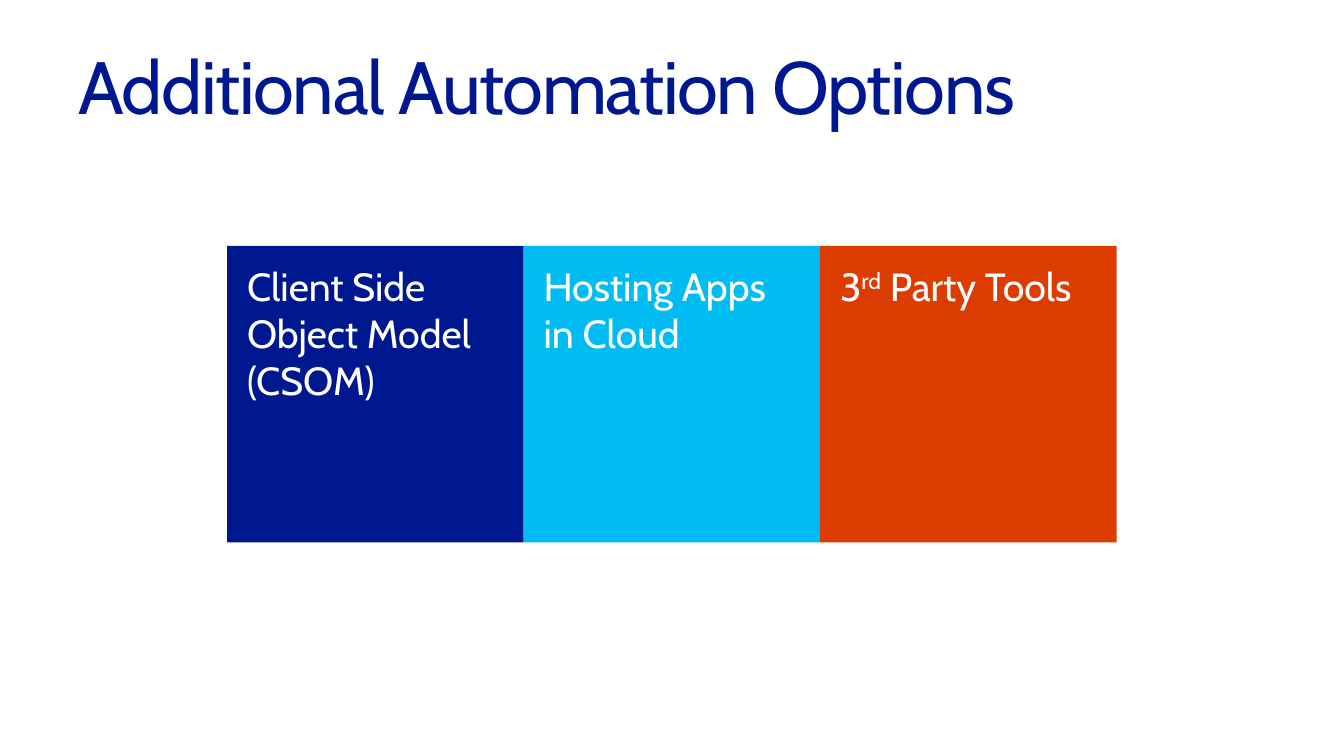
from pptx import Presentation
from pptx.dml.color import RGBColor
from pptx.enum.shapes import MSO_SHAPE
from pptx.enum.text import MSO_ANCHOR, MSO_AUTO_SIZE, PP_ALIGN
from pptx.util import Cm, Pt

COLORS = {"navy": "00188F", "cyan": "00BCF2", "orange": "DC3C00", "white": "FFFFFF"}
TILE_SIZE = 7.62
TILES_LEFT = 5.84
TILES_TOP = 6.32
TILES = [
    ("navy", [("Client Side Object Model (CSOM)", False)]),
    ("cyan", [("Hosting Apps in Cloud", False)]),
    ("orange", [("3", False), ("rd", True), (" Party Tools", False)]),
]


class OptionsSlide:
    """Hold the style and the current slide, and add its elements."""

    font_name = "Cabin"

    def __init__(self, presentation):
        self.slide = presentation.slides.add_slide(presentation.slide_layouts[5])

    def color(self, name):
        return RGBColor.from_string(COLORS[name])

    def set_frame(self, frame, horizontal, vertical):
        frame.word_wrap = True
        frame.auto_size = MSO_AUTO_SIZE.NONE
        frame.vertical_anchor = MSO_ANCHOR.TOP
        frame.margin_left = frame.margin_right = Cm(horizontal)
        frame.margin_top = frame.margin_bottom = Cm(vertical)

    def set_paragraph(self, paragraph, size, color):
        paragraph.alignment = PP_ALIGN.LEFT
        paragraph.font.name = self.font_name
        paragraph.font.size = Pt(size)
        paragraph.font.color.rgb = self.color(color)

    def add_title(self, text):
        title = self.slide.shapes.title
        title.left, title.top, title.width, title.height = Cm(1.6), Cm(1.04), Cm(33.02), Cm(2.54)
        self.set_frame(title.text_frame, 0.41, 0.25)
        paragraph = title.text_frame.paragraphs[0]
        self.set_paragraph(paragraph, 54, "navy")
        paragraph.line_spacing = 0.9
        paragraph.space_before = Pt(0)
        run = paragraph.add_run()
        run.text = text
        run._r.get_or_add_rPr().set("spc", "-100")

    def add_tile(self, left, top, size, fill, pieces):
        tile = self.slide.shapes.add_shape(
            MSO_SHAPE.RECTANGLE, Cm(left), Cm(top), Cm(size), Cm(size)
        )
        tile.shadow.inherit = False
        tile.fill.solid()
        tile.fill.fore_color.rgb = self.color(fill)
        tile.line.fill.background()
        self.set_frame(tile.text_frame, 0.51, 0.41)
        paragraph = tile.text_frame.paragraphs[0]
        self.set_paragraph(paragraph, 28.6, "white")
        for text, superscript in pieces:
            run = paragraph.add_run()
            run.text = text
            if superscript:
                run._r.get_or_add_rPr().set("baseline", "30000")


def main():
    presentation = Presentation()
    presentation.slide_width = Cm(34.54)
    presentation.slide_height = Cm(19.43)
    options = OptionsSlide(presentation)
    options.add_title("Additional Automation Options")
    for index, (fill, pieces) in enumerate(TILES):
        options.add_tile(TILES_LEFT + index * TILE_SIZE, TILES_TOP, TILE_SIZE, fill, pieces)
    presentation.save("out.pptx")


if __name__ == "__main__":
    main()
